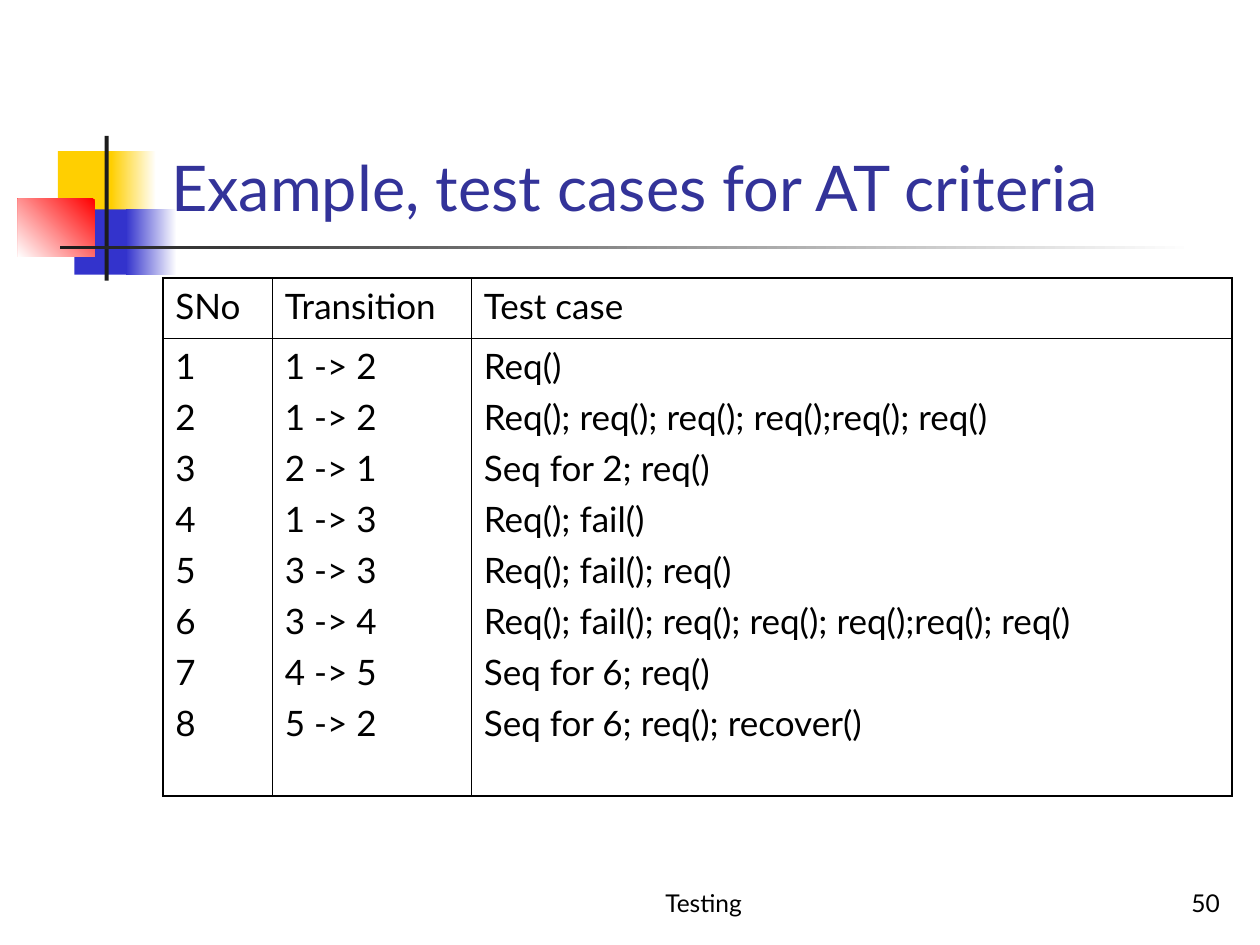
from lxml import etree
from pptx import Presentation
from pptx.dml.color import RGBColor
from pptx.enum.shapes import MSO_SHAPE
from pptx.enum.text import MSO_ANCHOR, PP_ALIGN
from pptx.oxml.ns import qn
from pptx.util import Cm, Pt

RECTANGLE = MSO_SHAPE.RECTANGLE
BOTTOM = MSO_ANCHOR.BOTTOM
LEFT, CENTER, RIGHT = PP_ALIGN.LEFT, PP_ALIGN.CENTER, PP_ALIGN.RIGHT

COLORS = {
    "white": "FFFFFF", "black": "000000", "title": "333399",
    "yellow": "FFCF01", "blue": "3333CC", "red": "FF0000", "dark": "1C1C1C",
}
OUTER_LINE, INNER_LINE = Pt(1.08), Pt(0.45)


def rgb(name):
    return RGBColor.from_string(COLORS[name])


class SlideBuilder:
    font = "Lato"

    def __init__(self, slide):
        self.slide = slide

    def style(self, paragraph, size, color="black", align=LEFT):
        paragraph.alignment = align
        for run in paragraph.runs:
            run.font.name = self.font
            run.font.size = Pt(size)
            run.font.color.rgb = rgb(color)

    def block(self, box, *colors, angle=180):
        """Rectangle filled with one colour, or with a gradient of two."""
        shape = self.slide.shapes.add_shape(RECTANGLE, *map(Cm, box))
        shape.shadow.inherit = False
        shape.line.fill.background()
        if len(colors) == 1:
            shape.fill.solid()
            shape.fill.fore_color.rgb = rgb(colors[0])
            return
        shape.fill.gradient()
        shape.fill.gradient_angle = angle
        for stop, color in zip(shape.fill.gradient_stops, colors):
            stop.color.rgb = rgb(color)

    def text(self, box, words, size, color="black", align=LEFT):
        frame = self.slide.shapes.add_textbox(*map(Cm, box)).text_frame
        frame.word_wrap = True
        frame.vertical_anchor = BOTTOM
        frame.text = words
        self.style(frame.paragraphs[0], size, color, align)

    def borders(self, cell, widths):
        properties = cell._tc.get_or_add_tcPr()
        for position, (side, width) in enumerate(widths.items()):
            line = etree.Element(qn(f"a:ln{side}"), w=str(int(width)))
            fill = etree.SubElement(line, qn("a:solidFill"))
            etree.SubElement(fill, qn("a:srgbClr"), val=COLORS["black"])
            properties.insert(position, line)

    def table(self, left, top, widths, heights, rows, size):
        box = (left, top, sum(widths), sum(heights))
        table = self.slide.shapes.add_table(
            len(rows), len(widths), *map(Cm, box)).table
        table.first_row = table.horz_banding = False
        for column, width in zip(table.columns, widths):
            column.width = Cm(width)
        last_row, last_column = len(heights) - 1, len(widths) - 1
        for r, (height, texts) in enumerate(zip(heights, rows)):
            table.rows[r].height = Cm(height)
            for c, words in enumerate(texts):
                cell = table.cell(r, c)
                cell.fill.background()
                cell.text_frame.text = words
                for paragraph in cell.text_frame.paragraphs:
                    paragraph.space_before = Pt(5)
                    self.style(paragraph, size)
                on_edge = {"L": c == 0, "R": c == last_column,
                           "T": r == 0, "B": r == last_row}
                self.borders(cell, {side: OUTER_LINE if edge else INNER_LINE
                                    for side, edge in on_edge.items()})


def main():
    presentation = Presentation()
    presentation.slide_width, presentation.slide_height = Cm(25.4), Cm(19.05)
    builder = SlideBuilder(
        presentation.slides.add_slide(presentation.slide_layouts[6]))

    # Coloured corner blocks and the two crossing bars
    builder.block((1.17, 3.05, 1.22, 1.32), "yellow")
    builder.block((2.24, 3.05, 0.91, 1.32), "white", "yellow")
    builder.block((1.5, 4.22, 1.17, 1.32), "blue")
    builder.block((2.54, 4.22, 1.02, 1.32), "white", "blue")
    builder.block((0.36, 4.01, 1.55, 1.17), "red", "white", angle=225)
    builder.block((2.11, 2.74, 0.08, 2.92), "dark")
    builder.block((1.22, 4.95, 22.86, 0.08), "white", "dark")

    # Title
    builder.text((3.2, 0.58, 21.64, 4.06),
                 "Example, test cases for AT criteria", 36, "title")

    # Test cases: one body row, one paragraph per case
    cases = [
        ("1 -> 2", "Req()"),
        ("1 -> 2", "Req(); req(); req(); req();req(); req()"),
        ("2 -> 1", "Seq for 2; req()"),
        ("1 -> 3", "Req(); fail()"),
        ("3 -> 3", "Req(); fail(); req()"),
        ("3 -> 4", "Req(); fail(); req(); req(); req();req(); req()"),
        ("4 -> 5", "Seq for 6; req()"),
        ("5 -> 2", "Seq for 6; req(); recover()"),
    ]
    numbers = [str(number) for number in range(1, len(cases) + 1)]
    body = ["\n".join(column) for column in (numbers, *zip(*cases))]
    builder.table(3.28, 5.61, (2.21, 4.01, 15.34), (1.22, 9.22),
                  [("SNo", "Transition", "Test case"), body], 20)

    # Footer and page number
    builder.text((10.16, 17.35, 8.05, 1.27), "Testing", 14, align=CENTER)
    builder.text((19.56, 17.35, 5.28, 1.27), "50", 14, align=RIGHT)

    presentation.save("out.pptx")


if __name__ == "__main__":
    main()
